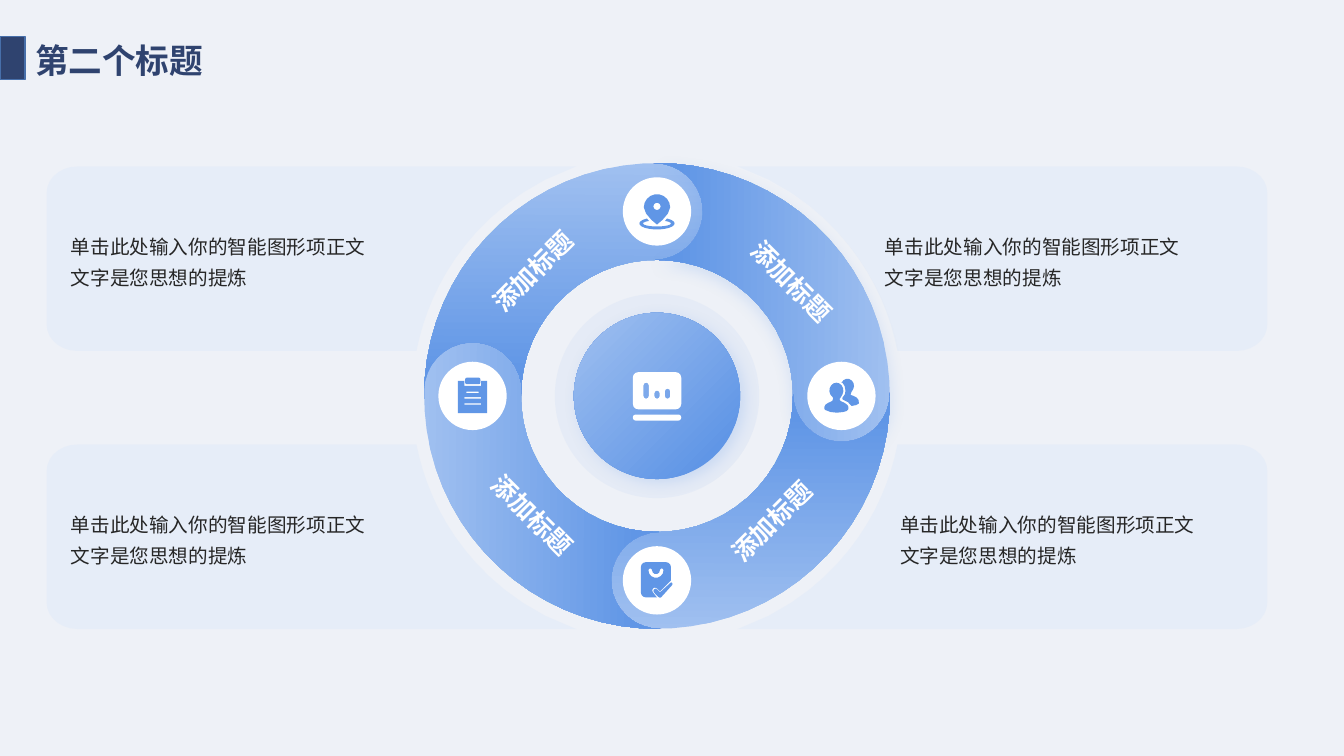
from math import acos, ceil, cos, radians, sin, sqrt

from lxml.etree import SubElement
from pptx import Presentation
from pptx.dml.color import RGBColor
from pptx.enum.shapes import MSO_SHAPE
from pptx.enum.text import MSO_ANCHOR, PP_ALIGN
from pptx.oxml.ns import qn
from pptx.util import Pt

THEME = {
    "font": "Noto Sans CJK SC",
    "background": "EEF1F7", "navy": "2F436F", "marker_line": "476FAA",
    "blue": "6096E6", "light_blue": "A0C0F0", "card": "DFEAFA",
    "body": "262626", "white": "FFFFFF",
    "title_size": 24, "label_size": 18, "body_size": 14,
}

TITLE = "第二个标题"
CARD_LINES = ["单击此处输入你的智能图形项正文", "文字是您思想的提炼"]
# side (-1 left, 1 right), row (-1 upper, 1 lower), margins left, top, right, bottom
CARDS = [
    (1, -1, (105.1, 16.6, 7.2, 16.6)),
    (-1, -1, (17.3, 16.6, 105.8, 16.6)),
    (1, 1, (115.9, 0, 0, 0)),
    (-1, 1, (17.3, 16.6, 105.8, 16.6)),
]
# text, centre x, centre y, rotation
LABELS = [
    ("添加标题", 380.5, 193.7, 315),
    ("添加标题", 380.5, 367.9, 45),
    ("添加标题", 551.2, 372.2, 315),
    ("添加标题", 565.6, 200.9, 45),
]

HUB_X, HUB_Y = 469.3, 282.8
RING_OUTER, RING_INNER = 166.3, 97.2
RING_MIDDLE = (RING_OUTER + RING_INNER) / 2
CAP = (RING_OUTER - RING_INNER) / 2
OVERLAP, TILT = 1.05, 0.3
CARD_MIDDLE = 284.1
CARD_NEAR, CARD_FAR = 33.4, 165.2
CARD_REACH, CARD_ARC = 436, 175
FLATNESS = 0.15


def arc(x, y, rx, ry, start=0, end=360):
    """Points on an ellipse; degrees run clockwise from the right."""
    widest = 2 * acos(1 - min(FLATNESS / max(rx, ry), 0.3))
    steps = ceil(abs(radians(end - start)) / widest)
    angles = [radians(start + (end - start) * i / steps) for i in range(steps + 1)]
    return [(x + rx * cos(a), y + ry * sin(a)) for a in angles]


def pill(left, top, width, height, r):
    """Points on a rectangle with rounded corners."""
    right, bottom = left + width, top + height
    return (arc(right - r, top + r, r, r, -90, 0) + arc(right - r, bottom - r, r, r, 0, 90)
            + arc(left + r, bottom - r, r, r, 90, 180) + arc(left + r, top + r, r, r, 180, 270))


def bar(left, top, width, height):
    right, bottom = left + width, top + height
    return [(left, top), (right, top), (right, bottom), (left, bottom)]


PIN = [
    [(0, 9.4), (-4, 6), (-7.8, 1.5)] + arc(0, -2.9, 9.4, 9.4, 180, 360) + [(7.8, 1.5), (4, 6)],
    arc(0, -3.6, 2.6, 2.6),
    arc(0, 8.6, 12.6, 4.3, -55, 235) + arc(0, 8.6, 10, 2.2, 235, -55),
]
PEOPLE = [
    [(6.5, 6.5), (4.7, 4.5), (1.4, 2.9), (0.7, 2.2), (0.7, 1.4), (2.5, -1.2), (2.9, -3.6),
     (2.3, -7), (0.7, -9.4)] + arc(4.3, -7.2, 4.7, 5, 205, 390)
    + [(7.2, -2.9), (6.5, -0.7), (8.6, 0), (10.8, 1.2), (12.2, 2.9), (12.5, 5.4),
       (10.5, 6.6), (7.2, 7.2)],
    [(-12.2, 9.4), (-12.2, 7.9), (-11.3, 6.2), (-9.4, 5), (-6.5, 3.6), (-5.8, 1.4), (-6.5, 0.7)]
    + arc(-3.6, -3.8, 5, 5.6, 150, 390)
    + [(-0.7, 1.4), (-1.4, 2.2), (-0.7, 3.6), (2.2, 5), (4.3, 6.5), (5, 7.9), (5, 9.4),
       (3.8, 10.8), (1.4, 11.5), (-3.2, 12), (-7.9, 11.5), (-11.5, 10.1)],
]
BAG = [
    arc(-7.9, -9.4, 3.6, 3.6, 180, 270) + arc(6.4, -9.4, 3.6, 3.6, 270, 360)
    + [(10, 0), (2.2, 7.9), (0, 5.8), (-1.5, 5.1), (-2.9, 5.8), (-3.4, 7.2), (-2.9, 8.6), (0, 12.2)]
    + arc(-7.9, 8.6, 3.6, 3.6, 90, 180),
    arc(-0.7, -7.2, 5.4, 5.4, 180, 0) + arc(3.4, -7.2, 1.3, 1.3, 0, -180)
    + arc(-0.7, -7.2, 2.8, 2.8, 0, 180) + arc(-4.8, -7.2, 1.3, 1.3, 0, -180),
    [(10.1, 1.4), (11, 2), (11, 3.2), (2.9, 12.2), (2, 12.4), (0.9, 11.8), (-2.2, 8.6),
     (-2.5, 7.5), (-2.2, 6.5), (-1, 6), (0, 6.5), (2.2, 8.6), (9.4, 2)],
]
CLIPBOARD = [
    bar(-10.4, -10.8, 20.8, 23), bar(-5.8, -10.8, 12, 3.6), pill(-5.2, -13, 10.8, 4.6, 1),
    bar(-4.3, -3, 8.6, 1), bar(-5.8, 0.9, 12, 1), bar(-5.8, 5.3, 12, 1),
]
DASHBOARD = [
    pill(-17.3, -17, 34.6, 26.6, 4), pill(-17.3, 13.3, 34.6, 4.3, 2.1),
    *[pill(left, 2 - height, 3.8, height, 1.9)
      for left, height in ((-9.7, 11.5), (-1.9, 5.8), (5.6, 7.2))],
]
RING_ICONS = [(PIN, 0, -1), (PEOPLE, 1, 0), (BAG, 0, 1), (CLIPBOARD, -1, 0)]


def rgb(name):
    return RGBColor.from_string(THEME[name])


def finish(shape, colour=None, alpha=None):
    """Remove outline and shadow; give a plain fill if a colour is named."""
    shape.shadow.inherit = False
    shape.line.fill.background()
    if colour:
        shape.fill.solid()
        shape.fill.fore_color.rgb = rgb(colour)
    if alpha:
        tint = shape._element.spPr.find(qn("a:solidFill"))[0]
        SubElement(tint, qn("a:alpha"), val=str(alpha * 1000))
    return shape


def blend(shape, angle, *stops):
    shape.fill.gradient()
    shape.fill.gradient_angle = angle
    for stop, (position, colour) in zip(shape.fill.gradient_stops, stops):
        stop.position = position
        stop.color.rgb = rgb(colour)


def cast_shadow(shape, blur, direction):
    effects = shape._element.spPr.find(qn("a:effectLst"))
    shadow = SubElement(effects, qn("a:outerShdw"), blurRad=str(Pt(blur)), dist=str(Pt(4)),
                        dir=str(direction * 60000), algn="ctr", rotWithShape="0")
    tint = SubElement(shadow, qn("a:srgbClr"), val=THEME["blue"])
    SubElement(tint, qn("a:alpha"), val="20000")


def outline(slide, contours, x=0, y=0):
    """Draw closed contours as one freeform whose origin is at x, y."""
    builder = None
    for contour in contours:
        points = [(Pt(x + px), Pt(y + py)) for px, py in contour]
        if builder is None:
            builder = slide.shapes.build_freeform(*points[0])
        else:
            builder.move_to(*points[0])
        builder.add_line_segments(points[1:], close=True)
    return builder.convert_to_shape()


def circle(slide, x, y, r, colour=None, alpha=None):
    oval = slide.shapes.add_shape(MSO_SHAPE.OVAL, Pt(x - r), Pt(y - r), Pt(2 * r), Pt(2 * r))
    return finish(oval, colour, alpha)


def write(shape, lines, size, colour, bold=False, align=PP_ALIGN.LEFT, spacing=None,
          margins=None, anchor=MSO_ANCHOR.MIDDLE):
    frame = shape.text_frame
    frame.word_wrap = True
    frame.vertical_anchor = anchor
    if margins:
        (frame.margin_left, frame.margin_top,
         frame.margin_right, frame.margin_bottom) = map(Pt, margins)
    frame.text = "\n".join(lines)
    for paragraph in frame.paragraphs:
        paragraph.alignment = align
        paragraph.line_spacing = spacing
        font = paragraph.font
        font.name, font.size, font.bold = THEME["font"], Pt(THEME[size]), bold
        font.color.rgb = rgb(colour)
        defaults = paragraph._p.pPr.find(qn("a:defRPr"))
        SubElement(defaults, qn("a:ea"), typeface=THEME["font"])


def add_card(slide, side, row, margins):
    sweep = [(sqrt(CARD_ARC ** 2 - dy ** 2), dy)
             for dy in (CARD_FAR + (CARD_NEAR - CARD_FAR) * i / 14 for i in range(15))]
    corners = (arc(CARD_REACH - 22, CARD_NEAR + 19, 22, 19, -90, 0)
               + arc(CARD_REACH - 22, CARD_FAR - 19, 22, 19, 0, 90))
    edge = [(side * x, row * y) for x, y in sweep + corners]
    card = finish(outline(slide, [edge], HUB_X, CARD_MIDDLE), "card", 50)
    write(card, CARD_LINES, "body_size", "body", spacing=1.3, margins=margins)


def add_ring_part(slide, turn):
    """Draw the upper left quarter and turn it about the hub."""
    head, tail = 270 + OVERLAP, 180 - OVERLAP

    def cap(angle, start, end):
        a = radians(angle)
        return arc(RING_MIDDLE * cos(a), RING_MIDDLE * sin(a), CAP, CAP, angle + start, angle + end)

    edge = (arc(0, 0, RING_OUTER, RING_OUTER, tail, head) + cap(head, 0, 180)
            + arc(0, 0, RING_INNER, RING_INNER, head, tail) + cap(tail, 180, 0))
    part = finish(outline(slide, [edge], HUB_X, HUB_Y))
    blend(part, 270, (0, "light_blue"), (0.9, "blue"))
    dx = part.left + part.width / 2 - Pt(HUB_X)
    dy = part.top + part.height / 2 - Pt(HUB_Y)
    a = radians(turn)
    part.left = int(Pt(HUB_X) + dx * cos(a) - dy * sin(a) - part.width / 2)
    part.top = int(Pt(HUB_Y) + dx * sin(a) + dy * cos(a) - part.height / 2)
    part.rotation = turn
    return part


def main():
    deck = Presentation()
    deck.slide_width, deck.slide_height = Pt(960), Pt(540)
    slide = deck.slides.add_slide(deck.slide_layouts[6])
    slide.background.fill.solid()
    slide.background.fill.fore_color.rgb = rgb("background")

    title = slide.shapes.add_textbox(Pt(18), Pt(25), Pt(224), Pt(36))
    write(title, [TITLE], "title_size", "navy", bold=True, anchor=MSO_ANCHOR.TOP)
    marker = finish(slide.shapes.add_shape(MSO_SHAPE.RECTANGLE, 0, Pt(26), Pt(18), Pt(31)), "navy")
    marker.line.color.rgb = rgb("marker_line")
    marker.line.width = Pt(1)

    for card in CARDS:
        add_card(slide, *card)
    for quarter in range(4):
        part = add_ring_part(slide, TILT + 90 * quarter)
        if quarter == 1:
            cast_shadow(part, 11, 90)
    for text, x, y, turn in LABELS:
        label = slide.shapes.add_textbox(Pt(x - 75.2), Pt(y - 15.8), Pt(150.4), Pt(31.6))
        label.rotation = turn
        write(label, [text], "label_size", "white", True, PP_ALIGN.CENTER, margins=(0, 0, 0, 0))

    circle(slide, HUB_X, HUB_Y, 73, "blue", 6)
    disc = circle(slide, HUB_X, HUB_Y, 59.4)
    blend(disc, 135, (0.15, "blue"), (1, "light_blue"))
    cast_shadow(disc, 10, 45)
    finish(outline(slide, DASHBOARD, HUB_X, HUB_Y), "white")
    for icon, across, down in RING_ICONS:
        x, y = HUB_X + across * RING_MIDDLE, HUB_Y + down * RING_MIDDLE
        circle(slide, x, y, 24.4, "white")
        finish(outline(slide, icon, x, y), "blue")
    deck.save("out.pptx")


if __name__ == "__main__":
    main()
